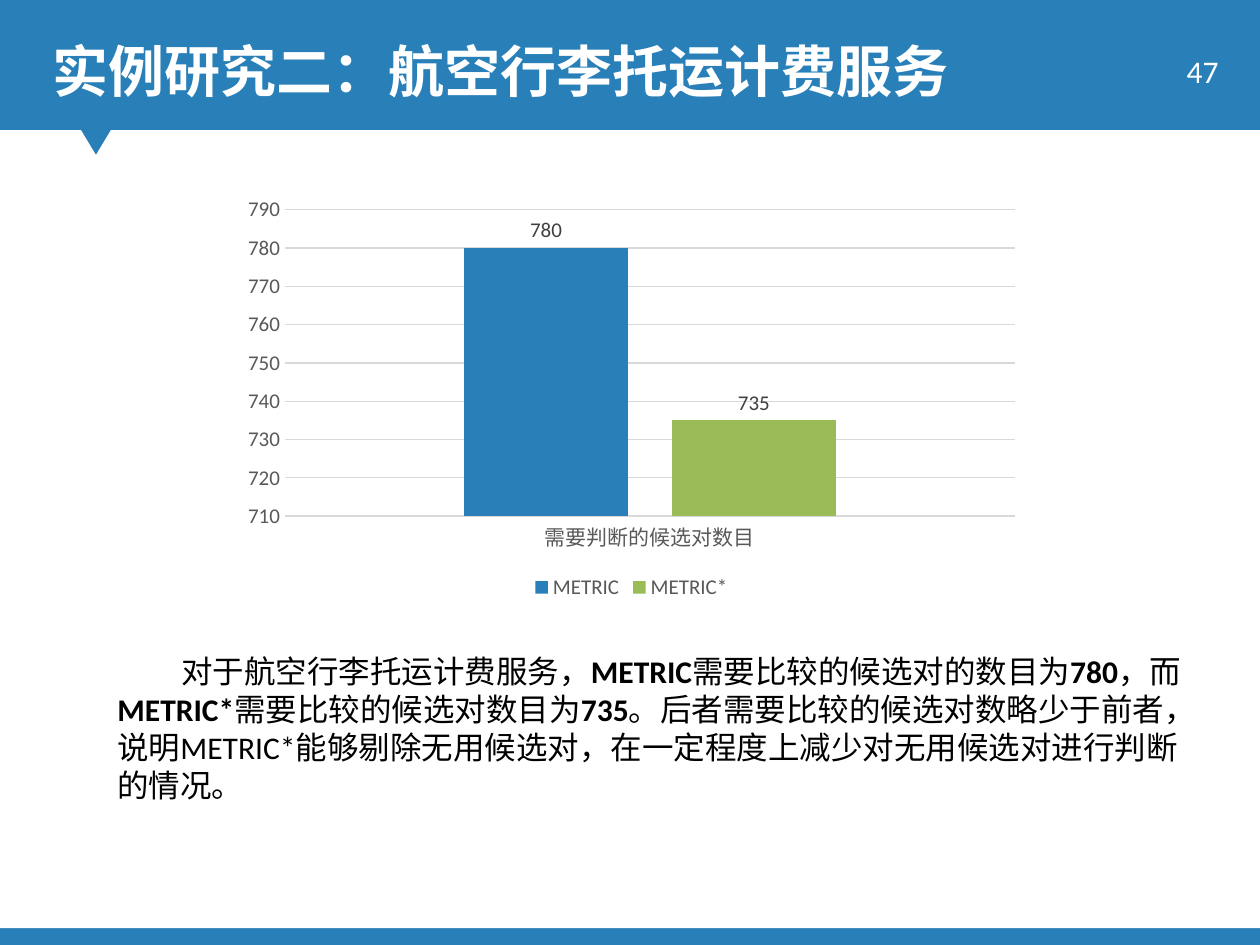
from dataclasses import dataclass

from pptx import Presentation
from pptx.chart.data import CategoryChartData
from pptx.dml.color import RGBColor
from pptx.enum.chart import XL_CHART_TYPE, XL_LABEL_POSITION, XL_LEGEND_POSITION, XL_TICK_MARK
from pptx.enum.shapes import MSO_SHAPE
from pptx.enum.text import MSO_ANCHOR, PP_ALIGN
from pptx.util import Emu, Pt


@dataclass(frozen=True)
class Theme:
    """Colours, typeface and type sizes of the slide."""
    font: str = "Calibri"
    blue: str = "2980B9"
    green: str = "9BBB59"
    white: str = "FFFFFF"
    black: str = "000000"
    grid: str = "D9D9D9"
    axis: str = "595959"
    label: str = "404040"
    title_size: int = 32
    body_size: int = 18
    chart_size: int = 12


THEME = Theme()
PX_PER_INCH = 126
WIDTH, HEIGHT = 1260, 945
COUNTS = (("METRIC", 780, THEME.blue), ("METRIC*", 735, THEME.green))
FINDING = (
    ("对于航空行李托运计费服务，", False),
    ("METRIC", True),
    ("需要比较的候选对的数目为", False),
    ("780", True),
    ("，而", False),
    ("METRIC*", True),
    ("需要比较的候选对数目为", False),
    ("735", True),
    ("。后者需要比较的候选对数略少于前者，说明METRIC*能够剔除无用候选对，"
     "在一定程度上减少对无用候选对进行判断的情况。", False),
)


def px(length):
    """Turn pixels into EMU."""
    return Emu(round(length * 914400 / PX_PER_INCH))


def set_font(font, size, color, bold=None):
    """Apply the typeface with a size, colour and weight."""
    font.name, font.size, font.bold = THEME.font, Pt(size), bold
    font.color.rgb = RGBColor.from_string(color)


def paint(part, color):
    """Give a shape a flat fill without line or shadow."""
    part.fill.solid()
    part.fill.fore_color.rgb = RGBColor.from_string(color)
    part.line.fill.background()
    part.shadow.inherit = False


def add_text_area(slide, box):
    """Add a wrapping text box and return its frame."""
    frame = slide.shapes.add_textbox(*map(px, box)).text_frame
    frame.word_wrap = True
    return frame


def add_backdrop(slide, box):
    """Draw the blue field and the white page with its notch."""
    left, top, width, height = box
    header, footer = top + 130, top + height - 17
    field = slide.shapes.add_shape(MSO_SHAPE.RECTANGLE, *map(px, box))
    paint(field, THEME.blue)
    outline = [(left + 81, header), (left + 96, header + 25), (left + 111, header),
               (left + width, header), (left + width, footer), (left, footer)]
    builder = slide.shapes.build_freeform(px(left), px(header))
    builder.add_line_segments([(px(x), px(y)) for x, y in outline], close=True)
    paint(builder.convert_to_shape(), THEME.white)


def add_header(slide, box):
    """Place the title and the page number in the header."""
    left, top, width, height = box
    title = slide.shapes.title
    title.left, title.top, title.width, title.height = map(
        px, (left + 40, top + 30, 978, 81))
    title.text_frame.text = "实例研究二：航空行李托运计费服务"
    title.text_frame.vertical_anchor = MSO_ANCHOR.MIDDLE
    heading = title.text_frame.paragraphs[0]
    heading.alignment = PP_ALIGN.LEFT
    set_font(heading.font, THEME.title_size, THEME.white, True)

    page = add_text_area(slide, (left + width - 142, top + 39, 113, 63))
    page.vertical_anchor = MSO_ANCHOR.MIDDLE
    number = page.paragraphs[0]
    number.text = "47"
    number.alignment = PP_ALIGN.RIGHT
    set_font(number.font, THEME.body_size, THEME.white)


def add_count_chart(slide, box):
    """Chart the number of candidate pairs for each method."""
    counts = CategoryChartData()
    counts.categories = ["需要判断的候选对数目"]
    for name, count, _ in COUNTS:
        counts.add_series(name, [count])
    chart = slide.shapes.add_chart(
        XL_CHART_TYPE.COLUMN_CLUSTERED, *map(px, box), counts).chart
    set_font(chart.font, THEME.chart_size, THEME.black)
    chart.has_title = False
    chart.has_legend = True
    chart.legend.position = XL_LEGEND_POSITION.BOTTOM
    chart.legend.include_in_layout = False
    set_font(chart.legend.font, THEME.chart_size, THEME.axis)

    categories, values = chart.category_axis, chart.value_axis
    for axis in (categories, values):
        axis.major_tick_mark = axis.minor_tick_mark = XL_TICK_MARK.NONE
        set_font(axis.tick_labels.font, THEME.chart_size, THEME.axis)
    values.minimum_scale, values.maximum_scale, values.major_unit = 710, 790, 10
    values.has_major_gridlines = True
    values.format.line.fill.background()
    for rule in (categories.format.line, values.major_gridlines.format.line):
        rule.width = Pt(0.75)
        rule.color.rgb = RGBColor.from_string(THEME.grid)

    plot = chart.plots[0]
    plot.gap_width, plot.overlap, plot.vary_by_categories = 219, -27, False
    for series, (_, _, color) in zip(plot.series, COUNTS):
        series.format.fill.solid()
        series.format.fill.fore_color.rgb = RGBColor.from_string(color)
        series.data_labels.show_value = True
        series.data_labels.position = XL_LABEL_POSITION.OUTSIDE_END
        set_font(series.data_labels.font, THEME.chart_size, THEME.label)


def add_finding(slide, box):
    """Write the paragraph that explains the chart."""
    finding = add_text_area(slide, box).paragraphs[0]
    set_font(finding.font, THEME.body_size, THEME.black)
    properties = finding._p.get_or_add_pPr()
    properties.set("marL", "0")
    properties.set("indent", str(px(64)))
    for words, bold in FINDING:
        run = finding.add_run()
        run.text = words
        set_font(run.font, THEME.body_size, THEME.black, bold)


def main():
    """Build and save the slide."""
    deck = Presentation()
    deck.slide_width, deck.slide_height = px(WIDTH), px(HEIGHT)
    slide = deck.slides.add_slide(deck.slide_layouts[5])
    add_backdrop(slide, (0, 0, WIDTH, HEIGHT))
    title = slide.shapes.title._element
    title.getparent().append(title)
    add_header(slide, (0, 0, WIDTH, 130))
    add_finding(slide, (105, 646, 1114, 165))
    add_count_chart(slide, (232, 189, 799, 416))
    deck.save("out.pptx")


if __name__ == "__main__":
    main()
